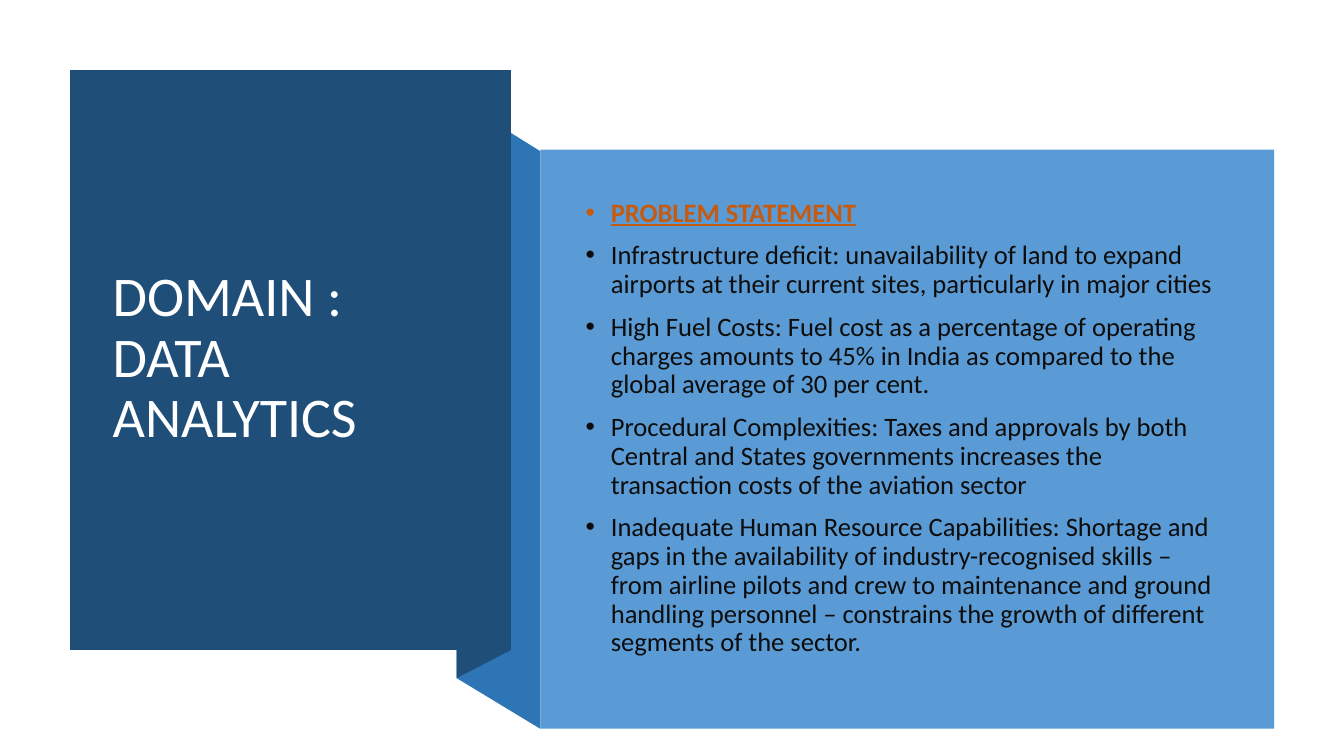
from typing import NamedTuple

from lxml.etree import SubElement
from pptx import Presentation
from pptx.dml.color import RGBColor
from pptx.enum.shapes import MSO_SHAPE as Preset
from pptx.enum.text import MSO_ANCHOR as Anchor
from pptx.oxml.ns import qn
from pptx.util import Inches, Pt

WIDTH, HEIGHT = Inches(13.33), Inches(7.5)
FONT = "Calibri"
NAVY, BLUE, SKY = "1F4E79", "2E75B6", "5B9BD5"
WHITE, INK, ORANGE = "FFFFFF", "0D0D0D", "C55A11"


class Box(NamedTuple):
    left: float
    top: float
    width: float
    height: float

    def emu(self) -> tuple[int, int, int, int]:
        return across(self.left), down(self.top), across(self.width), down(self.height)


class Fold(NamedTuple):
    corners: list[tuple[float, float]]
    color: str


class Point(NamedTuple):
    text: str
    color: str = INK
    heading: bool = False


def across(percent: float) -> int:
    return round(WIDTH * percent / 100)


def down(percent: float) -> int:
    return round(HEIGHT * percent / 100)


def rgb(color: str) -> RGBColor:
    return RGBColor.from_string(color)


def paint(shape, color: str) -> None:
    shape.shadow.inherit = False
    shape.fill.solid()
    shape.fill.fore_color.rgb = rgb(color)
    shape.line.fill.background()


def draw_fold(slide, fold: Fold) -> None:
    start, *others = [(across(x), down(y)) for x, y in fold.corners]
    outline = slide.shapes.build_freeform(*start)
    outline.add_line_segments(others, close=True)
    paint(outline.convert_to_shape(), fold.color)


def add_frame(slide, box: Box):
    frame = slide.shapes.add_textbox(*box.emu()).text_frame
    frame.word_wrap = True
    frame.vertical_anchor = Anchor.MIDDLE
    return frame


def write(paragraph, text: str, *, size: float, color: str, bold: bool = False,
          underline: bool = False, before: float = 0, bullet: bool = False) -> None:
    paragraph.text = text
    paragraph.line_spacing = 0.9
    paragraph.space_before = Pt(before)
    for run in paragraph.runs:
        run.font.name = FONT
        run.font.size = Pt(size)
        run.font.color.rgb = rgb(color)
        run.font.bold = bold
        run.font.underline = underline
    if bullet:
        properties = paragraph._p.get_or_add_pPr()
        properties.set("marL", str(Inches(0.25)))
        properties.set("indent", str(-Inches(0.25)))
        SubElement(properties, qn("a:buFont"), typeface="Arial")
        SubElement(properties, qn("a:buChar"), char="•")


FOLD_LEFT, DOMAIN_RIGHT, PANEL_LEFT = 33.98, 38, 40.2
DOMAIN_LEFT, DOMAIN_TOP, DOMAIN_BOTTOM = 5.2, 9.3, 86
FOLD_TOP, FOLD_BOTTOM = 13.1, 89.7

FOLDS = [
    Fold([(PANEL_LEFT, 96.4), (FOLD_LEFT, FOLD_BOTTOM),
          (FOLD_LEFT, FOLD_TOP), (PANEL_LEFT, 20)], BLUE),
    Fold([(DOMAIN_RIGHT, DOMAIN_BOTTOM), (FOLD_LEFT, FOLD_BOTTOM),
          (FOLD_LEFT, FOLD_TOP), (DOMAIN_RIGHT, DOMAIN_TOP)], NAVY),
    Fold([(DOMAIN_LEFT, DOMAIN_TOP), (DOMAIN_RIGHT, DOMAIN_TOP),
          (DOMAIN_RIGHT, DOMAIN_BOTTOM), (DOMAIN_LEFT, DOMAIN_BOTTOM)], NAVY),
]

DOMAIN_TEXT = Box(7.65, 14.27, 27.83, 66.53)
PROBLEM_PANEL = Box(PANEL_LEFT, 19.8, 54.6, 76.6)
PROBLEM_TEXT = Box(42.84, 25.07, 48.84, 63.2)

PROBLEMS = [
    Point("PROBLEM STATEMENT", ORANGE, heading=True),
    Point("Infrastructure deficit: unavailability of land to expand airports at "
          "their current sites, particularly in major cities"),
    Point("High Fuel Costs: Fuel cost as a percentage of operating charges amounts "
          "to 45% in India as compared to the global average of 30 per cent."),
    Point("Procedural Complexities: Taxes and approvals by both Central and States "
          "governments increases the transaction costs of the aviation sector"),
    Point("Inadequate Human Resource Capabilities: Shortage and gaps in the "
          "availability of industry-recognised skills – from airline pilots and crew "
          "to maintenance and ground handling personnel – constrains the growth of "
          "different segments of the sector."),
]

deck = Presentation()
deck.slide_width, deck.slide_height = WIDTH, HEIGHT
slide = deck.slides.add_slide(deck.slide_layouts[6])

for fold in FOLDS:
    draw_fold(slide, fold)

domain = add_frame(slide, DOMAIN_TEXT)
write(domain.paragraphs[0], "DOMAIN : \vDATA ANALYTICS", size=40, color=WHITE)

paint(slide.shapes.add_shape(Preset.RECTANGLE, *PROBLEM_PANEL.emu()), SKY)

problems = add_frame(slide, PROBLEM_TEXT)
for index, point in enumerate(PROBLEMS):
    paragraph = problems.add_paragraph() if index else problems.paragraphs[0]
    write(paragraph, point.text, size=19, color=point.color, bold=point.heading,
          underline=point.heading, before=10, bullet=True)

deck.save("out.pptx")
